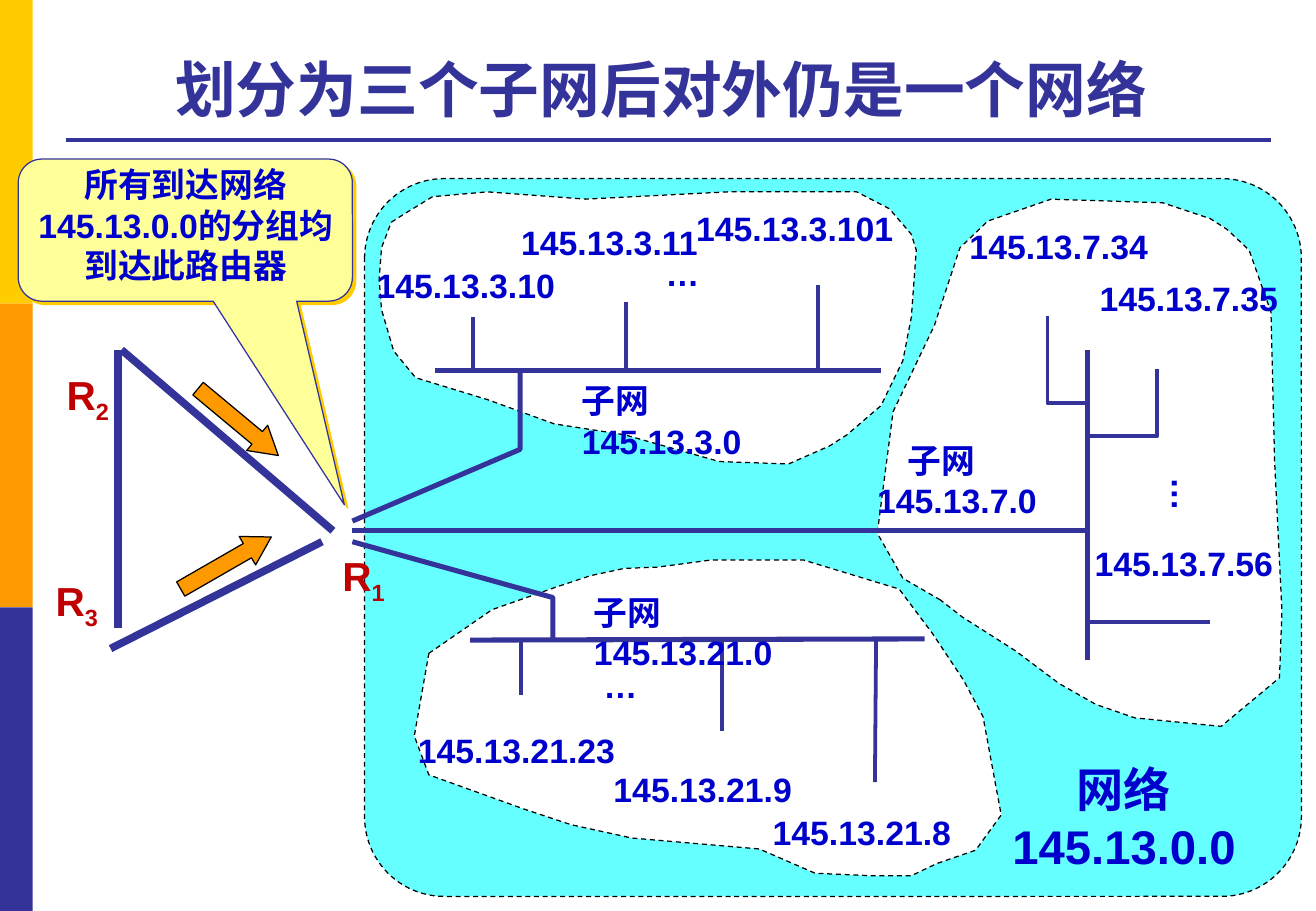
from dataclasses import dataclass

import lxml.etree
import pptx
import pptx.dml.color
import pptx.enum.dml
import pptx.enum.shapes
import pptx.enum.text
import pptx.oxml
import pptx.oxml.ns
import pptx.util

Inches = pptx.util.Inches
Point = tuple[float, float]
Box = tuple[float, float, float, float]
Shapes = pptx.enum.shapes.MSO_SHAPE
CENTER = pptx.enum.text.PP_ALIGN.CENTER
LEFT = pptx.enum.text.PP_ALIGN.LEFT

COLORS = {
    "yellow": "FFCC00", "orange": "FF9900", "indigo": "333399", "cyan": "66FFFF",
    "white": "FFFFFF", "black": "000000", "blue": "0000CC", "red": "C00000", "cream": "FFFF99",
}


@dataclass
class Cable:
    points: list[Point]
    width: float = 2.25


@dataclass
class Label:
    text: str
    box: Box
    size: int = 20
    color: str = "blue"
    align: int = LEFT
    wrap: bool = False
    rotation: float = 0
    subscript: str = ""
    first_indent: float = 0


CLOUDS: list[list[Point]] = [
    [(3.22, 1.83), (3.33, 1.76), (3.56, 1.62), (4.01, 1.58), (4.82, 1.64), (5.99, 1.58),
     (7.05, 1.58), (7.32, 1.72), (7.5, 1.93), (7.54, 2.06), (7.5, 2.61), (7.43, 2.97),
     (7.25, 3.34), (6.97, 3.58), (6.83, 3.67), (6.49, 3.82), (5.92, 3.8), (5.14, 3.58),
     (4.56, 3.49), (4.01, 3.29), (3.42, 3.11), (3.24, 2.89), (3.14, 2.55), (3.12, 2.3),
     (3.14, 2.04)],
    [(3.53, 5.38), (4.05, 5.02), (4.56, 4.84), (4.86, 4.74), (5.14, 4.68), (5.41, 4.67),
     (5.86, 4.61), (6.61, 4.61), (7.4, 4.85), (7.67, 5.21), (7.93, 5.6), (8.09, 5.9),
     (8.24, 6.71), (8.03, 7), (7.71, 7.11), (7.5, 7.21), (7.17, 7.21), (6.71, 7.19),
     (6.25, 6.99), (5.2, 6.9), (4.7, 6.79), (4.31, 6.66), (3.53, 6.38), (3.41, 6.06)],
    [(7.74, 4.94), (7.43, 4.76), (7.22, 4.39), (7.35, 3.39), (7.69, 2.68), (7.9, 2.04),
     (8.13, 1.82), (8.65, 1.64), (9.57, 1.67), (9.96, 1.8), (10.1, 1.89), (10.28, 2.06),
     (10.46, 2.57), (10.49, 3.8), (10.55, 5.03), (10.53, 5.58), (10.05, 5.98), (9.34, 5.91),
     (9.02, 5.8), (8.72, 5.63), (8.36, 5.36), (7.92, 5.08)],
]

ROUTER_CABLES = [
    Cable([(1, 2.88), (2.74, 4.37)], 4.5),
    Cable([(0.97, 2.88), (0.97, 5.17)], 4.5),
    Cable([(0.91, 5.34), (2.65, 4.46)], 4.5),
]

SUBNET_CABLES = [
    Cable([(2.9, 4.29), (4.28, 3.7), (4.28, 3.05)], 3),
    Cable([(2.9, 4.46), (4.55, 4.92), (4.55, 5.27)], 3),
    Cable([(2.9, 4.37), (8.95, 4.37)], 3),
    Cable([(3.58, 3.05), (7.25, 3.05)], 3),
    Cable([(3.87, 5.27), (7.61, 5.26)], 3),
    Cable([(8.95, 2.88), (8.95, 5.43)], 3),
    Cable([(3.89, 2.61), (3.89, 3.06)]),
    Cable([(5.15, 2.49), (5.15, 3.06)]),
    Cable([(6.73, 2.35), (6.73, 3.04)]),
    Cable([(4.29, 5.72), (4.29, 5.27)]),
    Cable([(5.94, 6.02), (5.94, 5.27)]),
    Cable([(7.2, 6.44), (7.21, 5.26)]),
    Cable([(8.62, 2.6), (8.62, 3.32), (8.95, 3.32)]),
    Cable([(9.52, 3.04), (9.52, 3.59), (8.94, 3.59)]),
    Cable([(9.96, 5.12), (8.95, 5.12)]),
]

LABELS = [
    Label("145.13.3.10", (3, 2.13, 1.68, 0.44)),
    Label("145.13.3.11", (4.19, 1.78, 1.67, 0.44)),
    Label("145.13.3.101", (5.63, 1.66, 1.91, 0.44)),
    Label("145.13.7.34", (7.88, 1.81, 1.68, 0.44)),
    Label("145.13.7.35", (8.95, 2.24, 1.68, 0.44)),
    Label("145.13.7.56", (8.91, 4.42, 1.68, 0.44)),
    Label("145.13.21.23", (3.34, 5.96, 1.91, 0.44)),
    Label("145.13.21.9", (4.95, 6.28, 1.68, 0.44)),
    Label("145.13.21.8", (6.26, 6.63, 1.68, 0.44)),
    Label("…", (4.87, 5.42, 0.48, 0.44)),
    Label("…", (5.38, 2.03, 0.48, 0.44)),
    Label("…", (9.51, 3.85, 0.48, 0.44), rotation=90),
    Label("子网 145.13.21.0", (4.79, 4.82, 2.2, 0.44), wrap=True),
    Label("子网 145.13.3.0", (4.69, 3.08, 2.1, 0.44), wrap=True),
    Label("子网\n145.13.7.0", (7.12, 3.57, 1.53, 0.77), first_indent=0.25),
    Label("所有到达网络145.13.0.0的分组均到达此路由器", (0.16, 1.3, 2.74, 1.11),
          align=CENTER, wrap=True),
    Label("网络\n145.13.0.0", (8.22, 6.21, 2.06, 1.04), 28, align=CENTER),
    Label("R", (2.72, 4.49, 0.57, 0.5), 24, "red", subscript="1"),
    Label("R", (0.36, 4.69, 0.57, 0.5), 24, "red", subscript="3"),
    Label("R", (0.45, 3, 0.57, 0.5), 24, "red", subscript="2"),
]


def rgb(name: str) -> pptx.dml.color.RGBColor:
    return pptx.dml.color.RGBColor.from_string(COLORS[name])


def paint(shape, fill: str = "", line: str = "", width: float = 0.75, dashed: bool = False) -> None:
    shape.shadow.inherit = False
    if fill:
        shape.fill.solid()
        shape.fill.fore_color.rgb = rgb(fill)
    else:
        shape.fill.background()
    if not line:
        shape.line.fill.background()
        return
    shape.line.color.rgb = rgb(line)
    shape.line.width = pptx.util.Pt(width)
    if dashed:
        shape.line.dash_style = pptx.enum.dml.MSO_LINE.DASH


def add_preset(slide, preset: int, box: Box, adjustments: tuple[float, ...] = ()):
    shape = slide.shapes.add_shape(preset, *map(Inches, box))
    for index, value in enumerate(adjustments):
        shape.adjustments[index] = value
    return shape


def add_outline(slide, points: list[Point], close: bool):
    corners = [(Inches(x), Inches(y)) for x, y in points]
    builder = slide.shapes.build_freeform(*corners[0], scale=1.0)
    builder.add_line_segments(corners[1:], close=close)
    return builder.convert_to_shape()


def add_cable(slide, cable: Cable) -> None:
    if len(cable.points) > 2:
        paint(add_outline(slide, cable.points, False), line="indigo", width=cable.width)
        return
    ends = [Inches(value) for point in cable.points for value in point]
    connector = slide.shapes.add_connector(pptx.enum.shapes.MSO_CONNECTOR.STRAIGHT, *ends)
    connector.line.color.rgb = rgb("indigo")
    connector.line.width = pptx.util.Pt(cable.width)
    lxml.etree.SubElement(connector._element.spPr, pptx.oxml.ns.qn("a:effectLst"))


def set_font(paragraph, size: int, color: str) -> None:
    paragraph.font.name = "Arial"
    paragraph.font.size = pptx.util.Pt(size)
    paragraph.font.bold = True
    paragraph.font.color.rgb = rgb(color)


def add_label(slide, label: Label) -> None:
    shape = slide.shapes.add_textbox(*map(Inches, label.box))
    shape.rotation = label.rotation
    frame = shape.text_frame
    frame.word_wrap = label.wrap
    frame.text = label.text
    for paragraph in frame.paragraphs:
        paragraph.alignment = label.align
        set_font(paragraph, label.size, label.color)
    if label.first_indent:
        frame.paragraphs[0]._p.get_or_add_pPr().set("marL", str(Inches(label.first_indent)))
    if label.subscript:
        run = frame.paragraphs[0].add_run()
        run.text = label.subscript
        run._r.get_or_add_rPr().set("baseline", "-25000")


def add_callout(slide) -> None:
    callout = add_preset(slide, Shapes.ROUNDED_RECTANGULAR_CALLOUT, (0.15, 1.31, 2.75, 1.17),
                         (0.476, 1.933, 0.167))
    paint(callout, "cream", "indigo")
    effects = callout._element.spPr.find(pptx.oxml.ns.qn("a:effectLst"))
    effects.append(pptx.oxml.parse_xml(
        f'<a:outerShdw {pptx.oxml.ns.nsdecls("a")} dist="35560" dir="2700000" algn="ctr" '
        f'rotWithShape="0"><a:srgbClr val="{COLORS["yellow"]}"/></a:outerShdw>'))


def main() -> None:
    presentation = pptx.Presentation()
    presentation.slide_width, presentation.slide_height = Inches(10.83), Inches(7.5)
    slide = presentation.slides.add_slide(presentation.slide_layouts[5])

    title = slide.shapes.title
    title.left, title.top, title.width, title.height = map(Inches, (0.54, 0.21, 9.8, 0.87))
    title.text_frame.text = "划分为三个子网后对外仍是一个网络"
    title.text_frame.vertical_anchor = pptx.enum.text.MSO_ANCHOR.BOTTOM
    title.text_frame.paragraphs[0].alignment = CENTER
    set_font(title.text_frame.paragraphs[0], 36, "indigo")

    for index, color in enumerate(("yellow", "orange", "indigo")):
        paint(add_preset(slide, Shapes.RECTANGLE, (0, 2.5 * index, 0.27, 2.5)), color)
    add_cable(slide, Cable([(0.54, 1.15), (10.46, 1.15)]))
    for cable in ROUTER_CABLES:
        add_cable(slide, cable)
    network = add_preset(slide, Shapes.ROUNDED_RECTANGLE, (3, 1.47, 7.71, 5.91), (0.111,))
    paint(network, "cyan", "black", dashed=True)
    for cloud in CLOUDS:
        paint(add_outline(slide, cloud, True), "white", "black", dashed=True)
    for cable in SUBNET_CABLES:
        add_cable(slide, cable)
    add_callout(slide)
    for label in LABELS:
        add_label(slide, label)
    for left, top, rotation in ((1.53, 3.34, 39.8), (1.43, 4.5, 330.1)):
        arrow = add_preset(slide, Shapes.RIGHT_ARROW, (left, top, 0.86, 0.27), (0.5, 0.838))
        arrow.rotation = rotation
        paint(arrow, "orange", "black")
    presentation.save("out.pptx")


if __name__ == "__main__":
    main()
